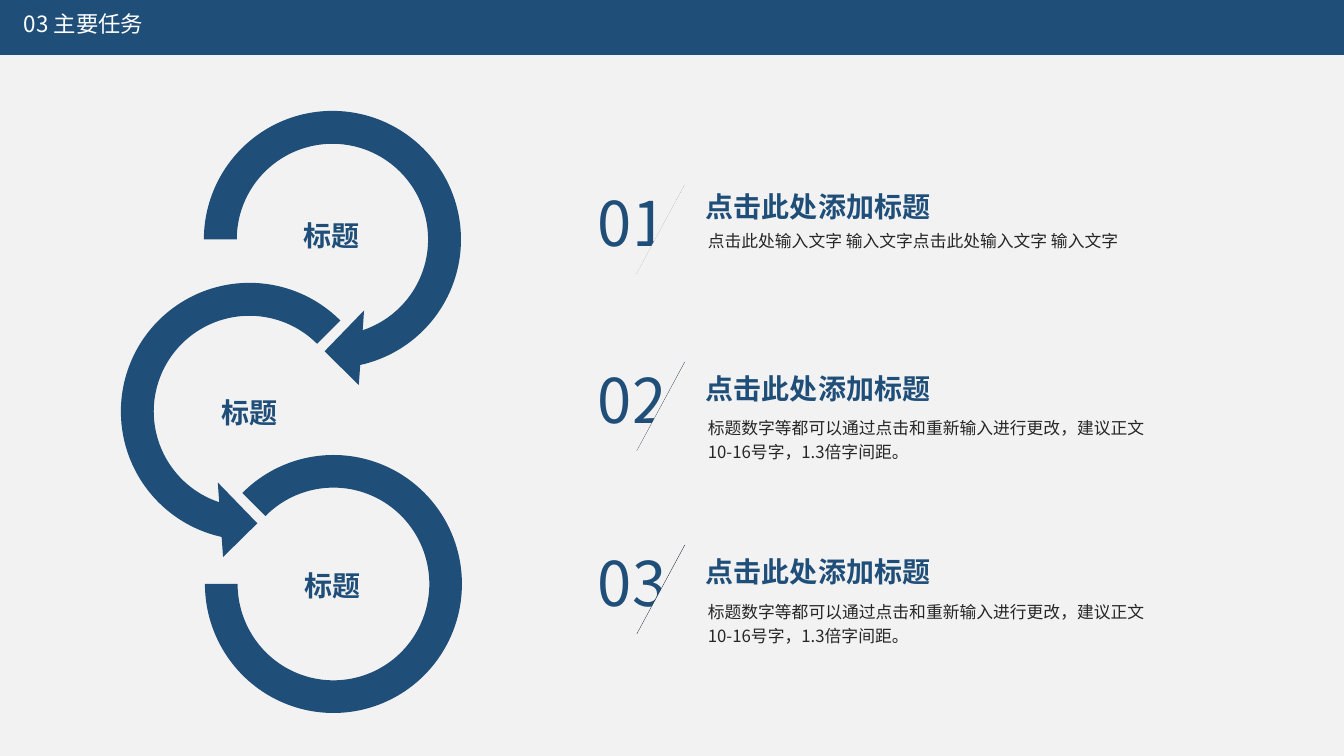
from dataclasses import dataclass

from lxml.etree import SubElement
from pptx import Presentation
from pptx.dml.color import RGBColor
from pptx.enum.shapes import MSO_CONNECTOR, MSO_SHAPE
from pptx.enum.text import MSO_ANCHOR, PP_ALIGN
from pptx.oxml.ns import qn
from pptx.shapes.autoshape import Shape
from pptx.slide import Slide
from pptx.util import Emu, Pt

BLUE = RGBColor(0x1F, 0x4E, 0x79)
PAPER = RGBColor(0xF2, 0xF2, 0xF2)
WHITE = RGBColor(0xFF, 0xFF, 0xFF)
INK = RGBColor(0x26, 0x26, 0x26)
SLATE = RGBColor(0x33, 0x3F, 0x50)
FONT = "Noto Sans CJK SC"
HEADING = "点击此处添加标题"
ADVICE = "标题数字等都可以通过点击和重新输入进行更改，建议正文10-16号字，1.3倍字间距。"

HEADER_FORMAT = {"size": Pt(16), "color": WHITE}
LABEL_FORMAT = {"size": Pt(20), "color": BLUE, "bold": True}
NUMBER_FORMAT = {"size": Pt(44), "color": BLUE}
BODY_FORMAT = {"size": Pt(12), "color": INK}


@dataclass(frozen=True)
class Box:
    left: int
    top: int
    width: int
    height: int


@dataclass(frozen=True)
class Ring:
    kind: MSO_SHAPE
    box: Box
    adjustments: tuple[float, ...]
    label: Box


@dataclass(frozen=True)
class Task:
    number: str
    top: int
    heading_top: int
    mask: Box
    body: Box
    text: str


RINGS = (
    Ring(MSO_SHAPE.CIRCULAR_ARROW, Box(183, 90, 299, 299),
         (0.11, 11.42, 45, 108, 0.125), Box(249, 195, 166, 84)),
    Ring(MSO_SHAPE.LEFT_CIRCULAR_ARROW, Box(100, 262, 299, 299),
         (0.11, 11.42, 63, 189, 0.125), Box(167, 372, 166, 84)),
    Ring(MSO_SHAPE.BLOCK_ARC, Box(205, 455, 257, 258),
         (135, 108, 0.127), Box(250, 545, 166, 84)),
)
TASKS = (
    Task("01", 180, 174, Box(654, 184, 29, 122), Box(698, 222, 472, 34),
         "点击此处输入文字 输入文字点击此处输入文字 输入文字"),
    Task("02", 357, 356, Box(654, 363, 36, 122), Box(698, 409, 472, 59), ADVICE),
    Task("03", 540, 539, Box(655, 542, 17, 122), Box(698, 593, 472, 59), ADVICE),
)


def px(n: int) -> Emu:
    """Turn px at 100.8 to the inch into EMU."""
    return Emu(round(n * 914400 / 100.8))


def place(box: Box) -> tuple[Emu, ...]:
    """Give the EMU left, top, width and height of a box."""
    return px(box.left), px(box.top), px(box.width), px(box.height)


def add_filled(s: Slide, kind: MSO_SHAPE, box: Box, color: RGBColor) -> Shape:
    """Draw a flat preset shape without outline."""
    sp = s.shapes.add_shape(kind, *place(box))
    sp.shadow.inherit = False
    sp.fill.solid()
    sp.fill.fore_color.rgb = color
    sp.line.fill.background()
    return sp


def add_text(s: Slide, box: Box, text: str, form: dict, spacing: float = 1.0,
             wrap: bool = True, anchor: MSO_ANCHOR = MSO_ANCHOR.TOP,
             align: PP_ALIGN = PP_ALIGN.LEFT) -> None:
    """Write one paragraph in a text box."""
    tf = s.shapes.add_textbox(*place(box)).text_frame
    tf.word_wrap = wrap
    tf.vertical_anchor = anchor
    p = tf.paragraphs[0]
    p.alignment = align
    p.line_spacing = spacing
    r = p.add_run()
    r.text = text
    r.font.name = FONT
    for key, value in form.items():
        if key == "color":
            r.font.color.rgb = value
        else:
            setattr(r.font, key, value)
    SubElement(r.font._element, qn("a:ea"), typeface=FONT)


def add_ring(s: Slide, ring: Ring) -> None:
    """Draw one link of the chain with its label."""
    sp = add_filled(s, ring.kind, ring.box, BLUE)
    for i, value in enumerate(ring.adjustments):
        sp.adjustments[i] = value
    add_text(s, ring.label, "标题", LABEL_FORMAT, 0.9,
             anchor=MSO_ANCHOR.MIDDLE, align=PP_ALIGN.CENTER)


def add_task(s: Slide, task: Task) -> None:
    """Draw a number cut by a slanted line, its heading and its text."""
    add_text(s, Box(588, task.top, 93, 85), task.number, NUMBER_FORMAT, wrap=False)
    slash = s.shapes.add_connector(MSO_CONNECTOR.STRAIGHT, px(637), px(task.top + 94),
                                   px(685), px(task.top + 5))
    slash.line.color.rgb = SLATE
    slash.line.width = Pt(0.5)
    SubElement(slash._element.spPr, qn("a:effectLst"))
    add_filled(s, MSO_SHAPE.RECTANGLE, task.mask, PAPER).rotation = 208.4
    add_text(s, Box(696, task.heading_top, 247, 54), HEADING, LABEL_FORMAT, 1.3, wrap=False)
    add_text(s, task.body, task.text, BODY_FORMAT, 1.2)


def main() -> None:
    """Build the slide and save it."""
    prs = Presentation()
    prs.slide_width, prs.slide_height = px(1344), px(756)
    s = prs.slides.add_slide(prs.slide_layouts[6])
    s.background.fill.solid()
    s.background.fill.fore_color.rgb = PAPER
    add_filled(s, MSO_SHAPE.RECTANGLE, Box(0, 0, 1344, 55), BLUE)
    add_text(s, Box(14, 9, 1317, 33), "03 主要任务", HEADER_FORMAT, 0.9,
             anchor=MSO_ANCHOR.MIDDLE)
    for ring in RINGS:
        add_ring(s, ring)
    for task in TASKS:
        add_task(s, task)
    prs.save("out.pptx")


if __name__ == "__main__":
    main()
